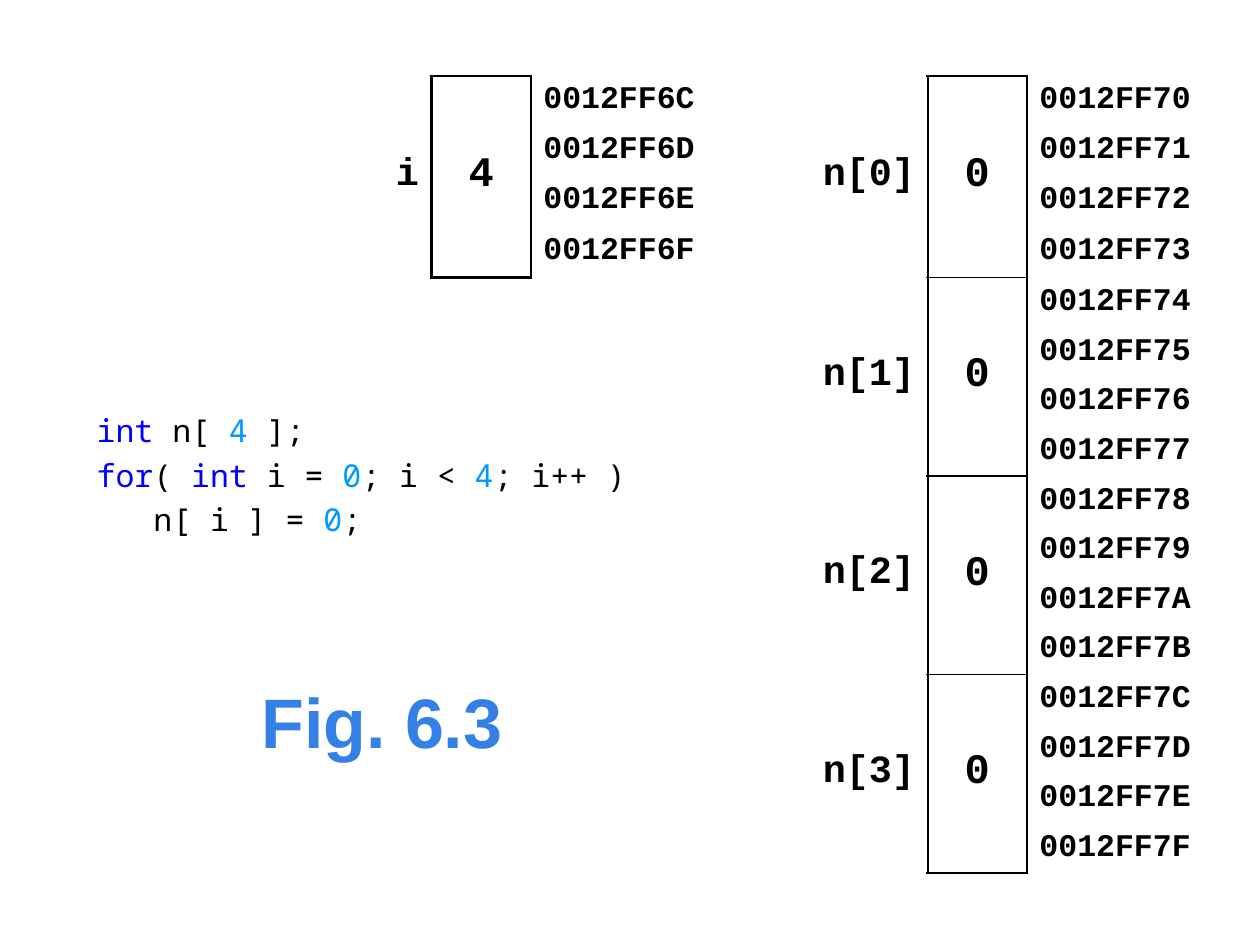
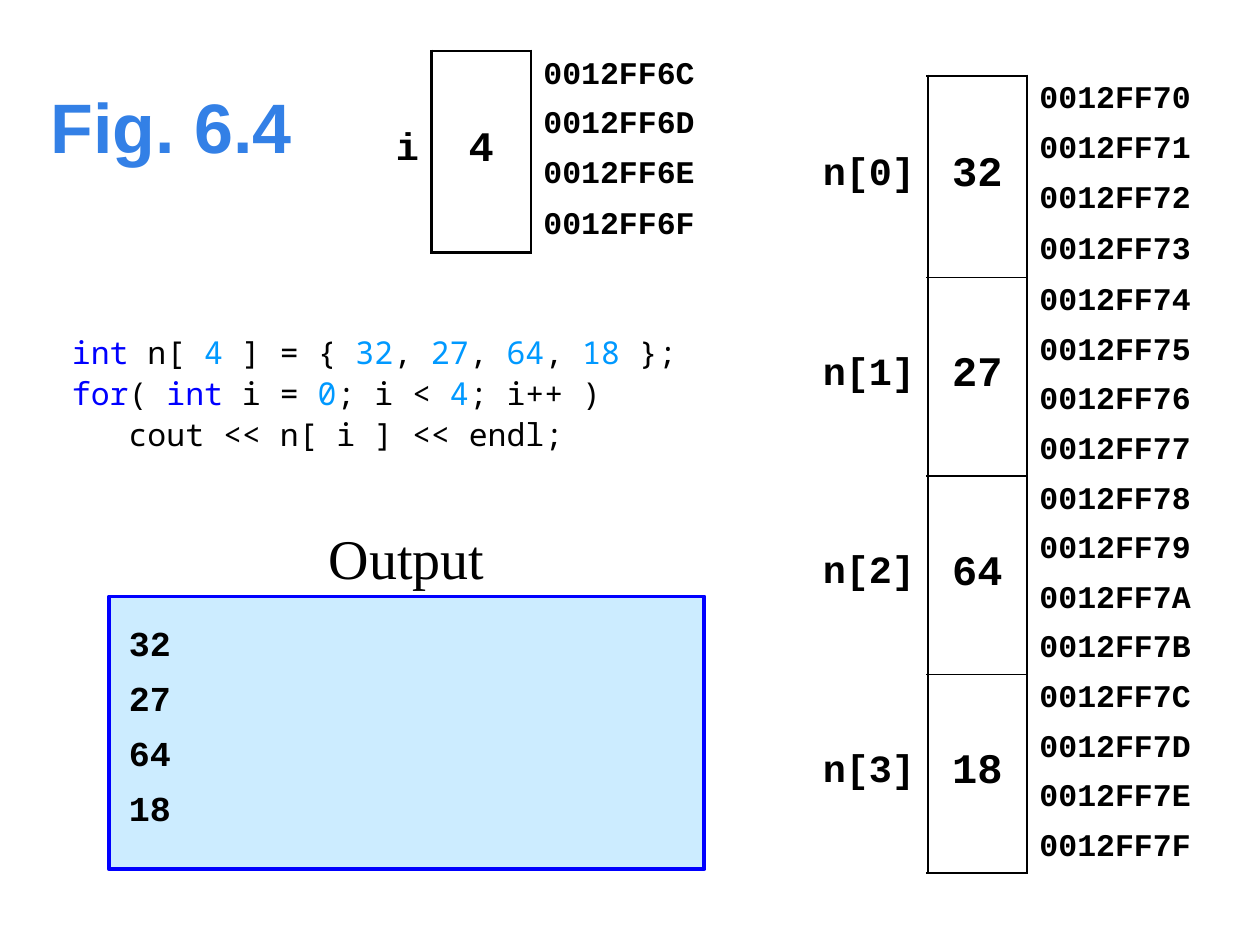
from itertools import groupby

from lxml import etree
from pptx import Presentation
from pptx import util as u
from pptx.dml.color import RGBColor
from pptx.enum import shapes, text
from pptx.oxml import ns

HUES = {"ink": "000000", "title": "3380E6", "key": "0000FF",
        "num": "0099FF", "pane": "CCECFF"}
FONTS = {"title": "Arial", "mono": "Courier New", "code": "Noto Sans Mono",
         "serif": "Times New Roman"}
WIDE, HIGH = 25.4, 19.05    # slide size in grid units of one centimetre
EDGE = 0.025                # centres sixteen memory rows on the slide
BYTES = 4                   # memory rows taken by one int
KEYS = {"int", "for"}
LEFT, MID, RIGHT = text.PP_ALIGN.LEFT, text.PP_ALIGN.CENTER, text.PP_ALIGN.RIGHT


def hue(name):
    return RGBColor.from_string(HUES[name])


def place(col, row, cols, rows):
    """Turn a box in grid units into left, top, width and height."""
    return [u.Cm(n) for n in (col, row + EDGE, cols, rows)]


def style(font, face, size, name="ink", bold=False):
    font.name, font.size, font.bold = FONTS[face], u.Pt(size), bold
    font.color.rgb = hue(name)


def label(slide, box, words, look, anchor, wrap=True):
    frame = slide.shapes.add_textbox(*place(*box)).text_frame
    frame.text, frame.word_wrap, frame.vertical_anchor = words, wrap, anchor
    para = frame.paragraphs[0]
    para.alignment = MID
    style(para.runs[0].font, *look)


def title(slide, box, words):
    label(slide, box, words, ("title", 40, "title", True), text.MSO_ANCHOR.MIDDLE)


def code(slide, box, lines, pitch):
    """Show code lines with keywords and numbers coloured."""
    frame = slide.shapes.add_textbox(*place(*box)).text_frame
    frame.word_wrap = True
    for k, line in enumerate(lines):
        para = frame.add_paragraph() if k else frame.paragraphs[0]
        para.line_spacing = u.Pt(pitch)
        for _, part in groupby(line, str.isalnum):
            run = para.add_run()
            run.text = "".join(part)
            name = ("key" if run.text in KEYS
                    else "num" if run.text.isdigit() else "ink")
            style(run.font, "code", 18, name)


def border(cell, sides):
    """Draw the given sides, as widths in points, and hide the others."""
    props = cell._tc.get_or_add_tcPr()
    for k, side in enumerate("LRTB"):
        line = etree.Element(ns.qn(f"a:ln{side}"))
        if side in sides:
            line.set("w", str(u.Pt(sides[side])))
            fill = etree.SubElement(line, ns.qn("a:solidFill"))
            etree.SubElement(fill, ns.qn("a:srgbClr"), val=HUES["ink"])
        else:
            etree.SubElement(line, ns.qn("a:noFill"))
        props.insert(k, line)


def write(cell, words, size, align, pads):
    cell.text = words
    cell.vertical_anchor = text.MSO_ANCHOR.MIDDLE
    cell.margin_top, cell.margin_bottom = map(u.Inches, pads)
    para = cell.text_frame.paragraphs[0]
    para.alignment = align
    style(para.runs[0].font, "mono", size, bold=True)


def memory(slide, col, row, first, start, names, vals):
    """Show ints in memory: name, value and the address of each byte."""
    cols, rows = (first, 2, 4), len(vals) * BYTES
    grid = slide.shapes.add_table(
        rows, len(cols), *place(col, row, sum(cols), rows)).table
    grid.first_row = grid.horz_banding = False
    for k, size in enumerate(cols):
        grid.columns[k].width = u.Cm(size)
    for r in range(rows):
        grid.rows[r].height = u.Cm(1)
        name, val, addr = [grid.cell(r, c) for c in range(3)]
        item, byte = divmod(r, BYTES)
        sides = {"L": 1.5, "R": 1.5}
        if byte == 0:
            sides["T"] = 1 if item else 1.5
        if byte in (0, BYTES - 1):
            sides["B"] = 1.5 if item == len(vals) - 1 else 1
        for cell, drawn in ((name, {"R": 1.5}), (val, sides), (addr, {"L": 1.5})):
            cell.fill.background()
            border(cell, drawn)
        write(addr, f"{start + r:08X}", 18, LEFT, (0.04, 0.04))
        if byte == 0:
            for cell, words, size, align in ((name, names[item], 22, RIGHT),
                                             (val, vals[item], 24, MID)):
                cell.merge(grid.cell(r + BYTES - 1, 0 if cell is name else 1))
                write(cell, str(words), size, align, (0, 0.02))


def array(slide, vals):
    names = [f"n[{k}]" for k in range(len(vals))]
    memory(slide, 16.2, 1.5, 2.5, 0x0012FF70, names, vals)


def count(slide, row):
    memory(slide, 7.7, row, 1, 0x0012FF6C, ["i"], [4])


def output(slide, col, row, cols, rows, vals):
    """Show a titled pane with one printed value per line."""
    pane = slide.shapes.add_shape(shapes.MSO_SHAPE.RECTANGLE,
                                  *place(col, row, cols, rows))
    pane.shadow.inherit = False
    pane.fill.solid()
    pane.fill.fore_color.rgb = hue("pane")
    pane.line.color.rgb = hue("key")
    pane.line.width = u.Pt(2.25)
    frame = pane.text_frame
    frame.text = "\n".join(map(str, vals))
    frame.vertical_anchor = text.MSO_ANCHOR.TOP
    frame.margin_left, frame.margin_top = u.Cm(0.4), u.Cm(0.5)
    for k, para in enumerate(frame.paragraphs):
        para.alignment = LEFT
        if k:
            para.space_before = u.Pt(7.4)
        style(para.runs[0].font, "mono", 20, bold=True)
    label(slide, (col + cols / 2 - 2, row - 1.5, 4, 1.5), "Output",
          ("serif", 32), text.MSO_ANCHOR.BOTTOM, wrap=False)


def zeros(slide):
    title(slide, (2.7, 13.5, 10, 2), "Fig. 6.3")
    code(slide, (1.7, 8, 13, 3.5),
         ["int n[ 4 ];",
          "for( int i = 0; i < 4; i++ )",
          "   n[ i ] = 0;"], 25.5)
    array(slide, [0] * 4)
    count(slide, 1.5)


def listed(slide):
    vals = [32, 27, 64, 18]
    title(slide, (0.7, 1.5, 5.5, 2), "Fig. 6.4")
    code(slide, (1.2, 6.5, 14, 3.5),
         ["int n[ 4 ] = { 32, 27, 64, 18 };",
          "for( int i = 0; i < 4; i++ )",
          "   cout << n[ i ] << endl;"], 23.5)
    array(slide, vals)
    output(slide, 2.2, 12, 12, 5.5, vals)
    count(slide, 1)


def main():
    deck = Presentation()
    deck.slide_width, deck.slide_height = u.Cm(WIDE), u.Cm(HIGH)
    for build in (zeros, listed):
        build(deck.slides.add_slide(deck.slide_layouts[6]))
    deck.save("out.pptx")


if __name__ == "__main__":
    main()
